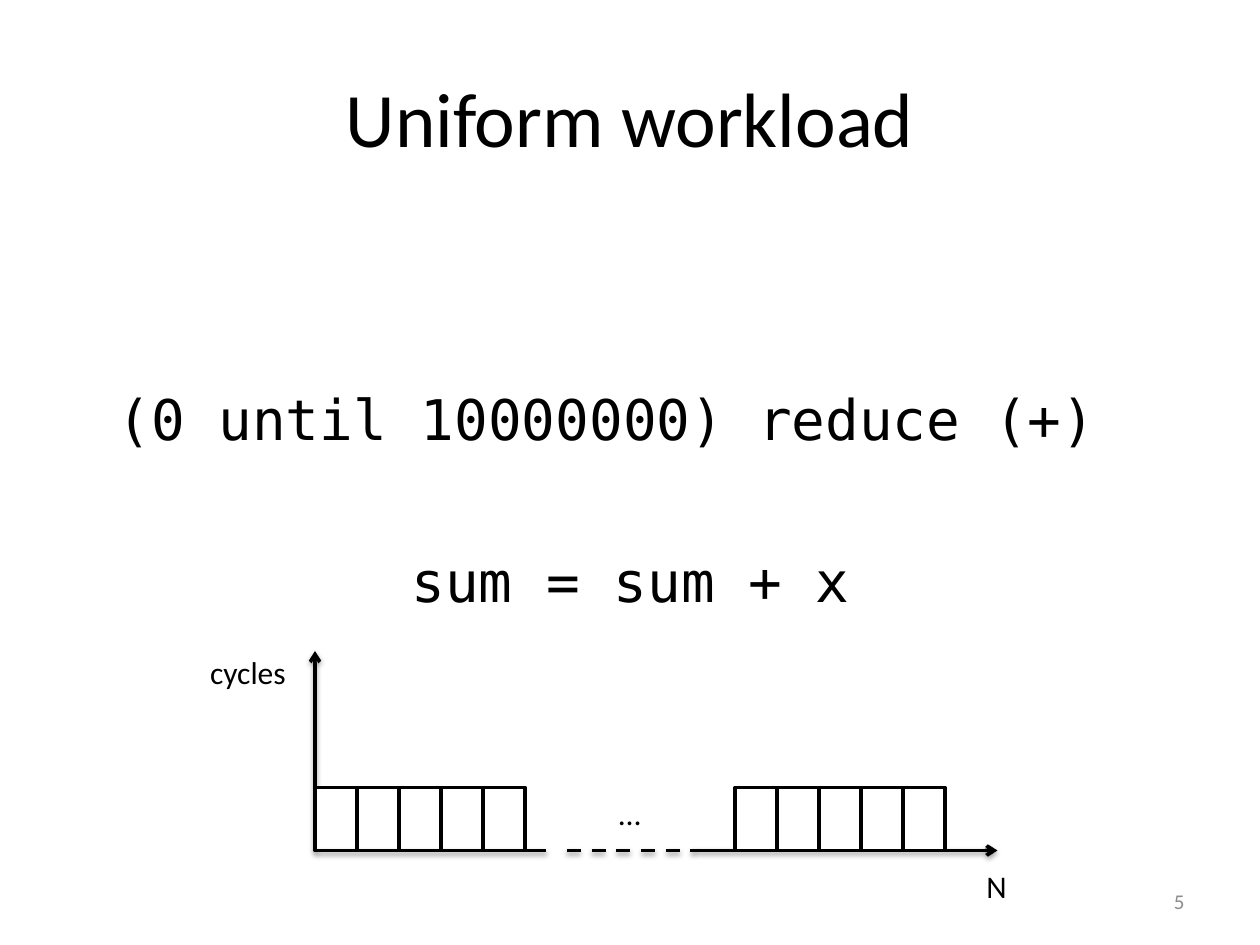
from lxml.etree import SubElement
from pptx import Presentation
from pptx.dml.color import RGBColor
from pptx.enum.dml import MSO_LINE_DASH_STYLE as Dash
from pptx.enum.shapes import MSO_CONNECTOR, MSO_SHAPE
from pptx.enum.text import MSO_ANCHOR as Anchor, PP_ALIGN as Align
from pptx.oxml.ns import qn
from pptx.util import Pt

# Content, all lengths in points
TITLE = "Uniform workload"
BODY, CODE = "Calibri", "DejaVu Sans Mono"
BLACK, WHITE, GREY = "000000", "FFFFFF", "8C8C8C"
LABELS = [  # text, (left, top, width, height), font, size
    ("(0 until 10000000) reduce (+)", (60, 216, 578, 46), CODE, 32),
    ("sum = sum + x", (228, 309, 267, 46), CODE, 32),
    ("…", (346.5, 450, 27, 29), BODY, 18),
    ("N", (556.5, 492, 26, 29), BODY, 18),
    ("cycles", (113, 369.5, 58, 29), BODY, 18),
]
PAGE_NUMBER = "5"

# Chart geometry
ORIGIN_X, BASELINE = 180, 486
BAR_WIDTH, BAR_HEIGHT, BARS_PER_GROUP = 24, 36, 5
GROUP_LEFTS = [ORIGIN_X, 420]
ARROW_AXES = [  # start, end
    ((396, BASELINE), (570, BASELINE)),
    ((ORIGIN_X, BASELINE), (ORIGIN_X, 372)),
]
SOLID_AXIS = ((ORIGIN_X, BASELINE), (312, BASELINE))
DASHED_AXIS = ((324, BASELINE), (396, BASELINE))


def color(value):
    return RGBColor.from_string(value)


def write(shape, text, font, size, fill=BLACK, align=Align.LEFT):
    paragraph = shape.text_frame.paragraphs[0]
    paragraph.text = text
    paragraph.alignment = align
    paragraph.font.name = font
    paragraph.font.size = Pt(size)
    paragraph.font.color.rgb = color(fill)


def add_text(slide, box, text, font, size, wrap=False, **style):
    shape = slide.shapes.add_textbox(*map(Pt, box))
    shape.text_frame.word_wrap = wrap
    write(shape, text, font, size, **style)
    return shape


def set_outline(shape):
    shape.line.color.rgb = color(BLACK)
    shape.line.width = Pt(2)


def add_axis(slide, start, end, arrow=False, dashed=False):
    axis = slide.shapes.add_connector(
        MSO_CONNECTOR.STRAIGHT, *map(Pt, start + end))
    set_outline(axis)
    if dashed:
        axis.line.dash_style = Dash.DASH
    properties = axis.line._get_or_add_ln()
    if arrow:
        SubElement(properties, qn("a:tailEnd"), type="arrow")
    # Soft shadow straight below the line
    effects = SubElement(properties.getparent(), qn("a:effectLst"))
    shadow = SubElement(effects, qn("a:outerShdw"), blurRad=str(Pt(3.1)),
                        dist=str(Pt(1.6)), dir="5400000", rotWithShape="0")
    shade = SubElement(shadow, qn("a:srgbClr"), val=BLACK)
    SubElement(shade, qn("a:alpha"), val="38000")


def add_bar(slide, left):
    bar = slide.shapes.add_shape(
        MSO_SHAPE.RECTANGLE,
        *map(Pt, (left, BASELINE - BAR_HEIGHT, BAR_WIDTH, BAR_HEIGHT)))
    bar.shadow.inherit = False
    bar.fill.solid()
    bar.fill.fore_color.rgb = color(WHITE)
    set_outline(bar)


def main():
    presentation = Presentation()
    presentation.slide_width, presentation.slide_height = Pt(720), Pt(540)
    slide = presentation.slides.add_slide(presentation.slide_layouts[5])

    # Title
    title = slide.shapes.title
    title.left, title.top, title.width, title.height = map(
        Pt, (36, 21.6, 648, 90))
    title.text_frame.vertical_anchor = Anchor.MIDDLE
    write(title, TITLE, BODY, 44, align=Align.CENTER)

    # Axes and bars
    for start, end in ARROW_AXES:
        add_axis(slide, start, end, arrow=True)
    for group_left in GROUP_LEFTS:
        for index in range(BARS_PER_GROUP):
            add_bar(slide, group_left + index * BAR_WIDTH)
    add_axis(slide, *SOLID_AXIS)
    add_axis(slide, *DASHED_AXIS, dashed=True)

    # Code lines, chart labels and page number
    for text, box, font, size in LABELS:
        add_text(slide, box, text, font, size)
    number = add_text(slide, (516, 500.5, 168, 28.75), PAGE_NUMBER, BODY, 12,
                      wrap=True, fill=GREY, align=Align.RIGHT)
    number.text_frame.vertical_anchor = Anchor.MIDDLE

    presentation.save("out.pptx")


if __name__ == "__main__":
    main()
